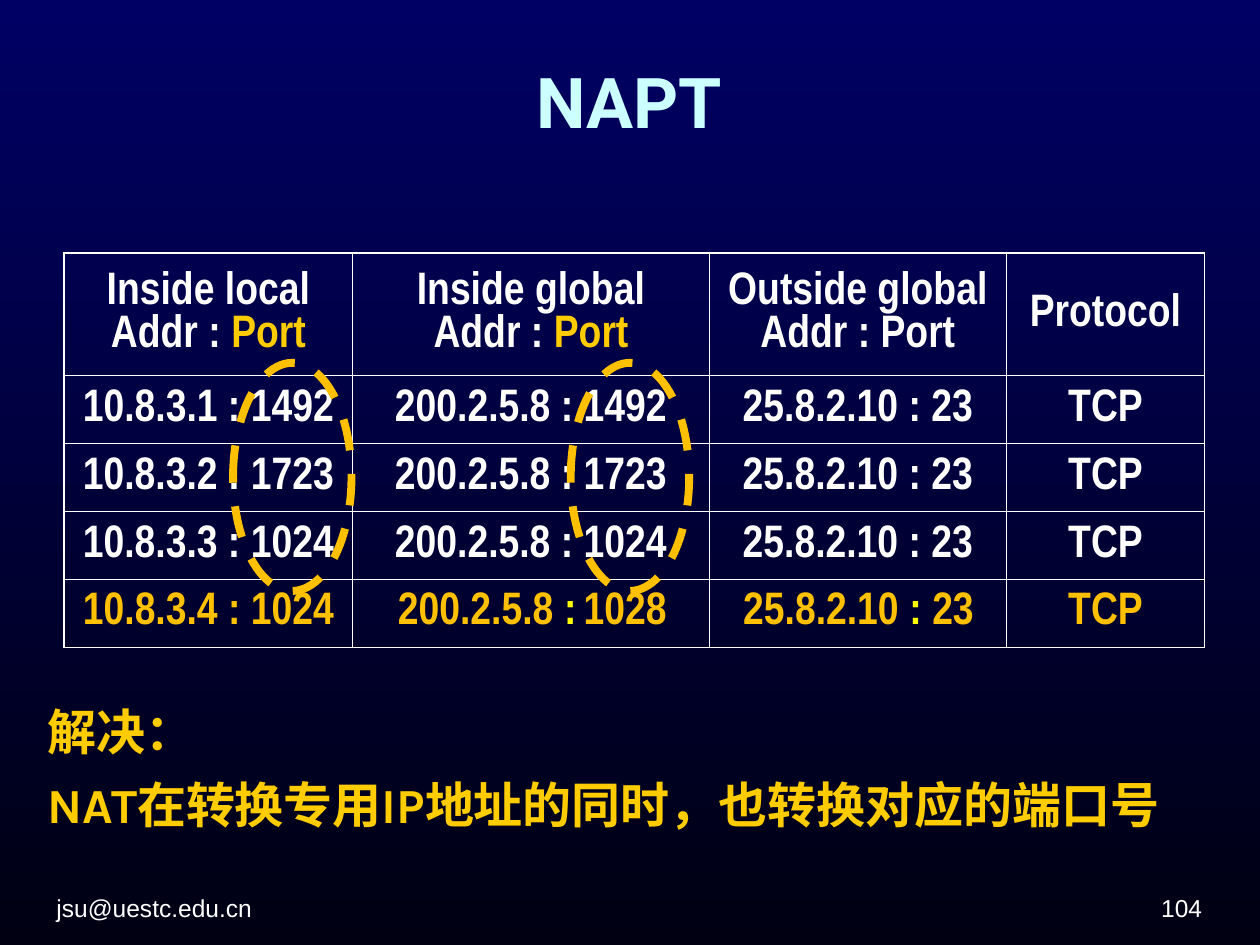
import pptx
import pptx.dml.color
import pptx.enum.dml
import pptx.enum.shapes
import pptx.enum.text
import pptx.oxml
import pptx.oxml.ns
import pptx.util
from pptx.util import Inches

RGBColor = pptx.dml.color.RGBColor
ALIGN = pptx.enum.text.PP_ALIGN
ANCHOR = pptx.enum.text.MSO_ANCHOR

NAVY = RGBColor(0x00, 0x00, 0x64)
MIDNIGHT = RGBColor(0x00, 0x00, 0x13)
WHITE = RGBColor(0xFF, 0xFF, 0xFF)
PALE_CYAN = RGBColor(0xCC, 0xFF, 0xFF)
GOLD = RGBColor(0xFF, 0xCC, 0x00)
AMBER = RGBColor(0xFF, 0xC0, 0x00)
YELLOW = RGBColor(0xFF, 0xFF, 0x00)

COLUMN_WIDTHS = (2.29, 2.83, 2.36, 1.57)
HEADER_HEIGHT = 0.97
ROW_HEIGHT = 0.54
HEADERS = (
    ["Inside local", [("Addr : ", WHITE), ("Port", GOLD)]],
    ["Inside global", [("Addr : ", WHITE), ("Port", GOLD)]],
    ["Outside global", "Addr : Port"],
    ["Protocol"],
)
MAPPINGS = (("10.8.3.1", "1492"), ("10.8.3.2", "1723"), ("10.8.3.3", "1024"))


def write_text(frame, paragraphs, size=26, font="Arial Narrow", color=WHITE, bold=True,
               align=ALIGN.LEFT, spacing=None):
    """Fill a text frame; a paragraph is a string or a list of (text, colour) runs."""
    for index, content in enumerate(paragraphs):
        paragraph = frame.paragraphs[0] if index == 0 else frame.add_paragraph()
        paragraph.alignment = align
        paragraph.line_spacing = spacing
        runs = [(content, color)] if isinstance(content, str) else content
        for text, run_color in runs:
            run = paragraph.add_run()
            run.text = text
            run.font.size = pptx.util.Pt(size)
            run.font.name = font
            run.font.bold = bold
            run.font.color.rgb = run_color


def add_label(slide, box, paragraphs, anchor=ANCHOR.TOP, **text_format):
    """Place a text box in the given box."""
    frame = slide.shapes.add_textbox(*map(Inches, box)).text_frame
    frame.word_wrap = True
    frame.vertical_anchor = anchor
    write_text(frame, paragraphs, **text_format)


def paint_background(slide):
    """Shade the slide from navy at the top to midnight at the bottom."""
    fill = slide.background.fill
    fill.gradient()
    fill.gradient_angle = 270
    for stop, position, color in zip(fill.gradient_stops, (0, 1), (NAVY, MIDNIGHT)):
        stop.position = position
        stop.color.rgb = color


def add_title(slide, box):
    """Move and write the title placeholder."""
    title = slide.shapes.title
    title.left, title.top, title.width, title.height = map(Inches, box)
    title.text_frame.vertical_anchor = ANCHOR.MIDDLE
    write_text(title.text_frame, ["NAPT"], size=40, font="Roboto",
               color=PALE_CYAN, align=ALIGN.CENTER)


def border_cell(cell, widths):
    """Draw the left, right, top and bottom borders of a cell in white."""
    properties = cell._tc.get_or_add_tcPr()
    for index, (side, width) in enumerate(zip("LRTB", widths)):
        properties.insert(index, pptx.oxml.parse_xml(
            f'<a:ln{side} {pptx.oxml.ns.nsdecls("a")} w="{pptx.util.Pt(width)}">'
            f'<a:solidFill><a:srgbClr val="{WHITE}"/></a:solidFill></a:ln{side}>'))


def add_translation_table(slide, box):
    """Build the address table, leaving its last row free for the new mapping."""
    rows = [HEADERS]
    for address, port in MAPPINGS:
        rows.append(([f"{address} : {port}"], [f"200.2.5.8 : {port}"],
                     ["25.8.2.10 : 23"], ["TCP"]))
    rows.append(([],) * len(COLUMN_WIDTHS))
    table = slide.shapes.add_table(len(rows), len(COLUMN_WIDTHS), *map(Inches, box)).table
    table.first_row = table.horz_banding = False
    for column, width in zip(table.columns, COLUMN_WIDTHS):
        column.width = Inches(width)
    last_column = len(COLUMN_WIDTHS) - 1
    for row_index, row in enumerate(rows):
        table.rows[row_index].height = Inches(ROW_HEIGHT if row_index else HEADER_HEIGHT)
        for column_index, paragraphs in enumerate(row):
            cell = table.cell(row_index, column_index)
            cell.fill.background()
            cell.vertical_anchor = ANCHOR.MIDDLE
            write_text(cell.text_frame, paragraphs, align=ALIGN.CENTER)
            is_header = row_index == 0
            heavy = (column_index == 0 or is_header and column_index == last_column,
                     column_index == last_column or is_header and column_index == 2,
                     is_header, False)
            border_cell(cell, [1.08 if side else 0.45 for side in heavy])


def add_new_mapping(slide, top):
    """Write the highlighted mapping over the free table row."""
    entries = (
        (0.56, 2.5, [("10.8.3.4 : 1024", AMBER)], ALIGN.LEFT),
        (3.06, 1.9, [("200.2.5.8", AMBER), (" :", YELLOW)], ALIGN.LEFT),
        (4.29, 1.1, [("1028", AMBER)], ALIGN.RIGHT),
        (5.8, 2.3, [("25.8.2.10", AMBER), (" : ", YELLOW), ("23", AMBER)], ALIGN.LEFT),
        (8.38, 1.1, [("TCP", AMBER)], ALIGN.LEFT),
    )
    for left, width, runs, align in entries:
        add_label(slide, (left, top, width, ROW_HEIGHT), [runs], align=align)


def add_port_ring(slide, box):
    """Circle a column of ports with a dashed ellipse."""
    ring = slide.shapes.add_shape(pptx.enum.shapes.MSO_SHAPE.OVAL, *map(Inches, box))
    ring.shadow.inherit = False
    ring.fill.background()
    ring.line.color.rgb = AMBER
    ring.line.width = pptx.util.Pt(4.5)
    ring.line.dash_style = pptx.enum.dml.MSO_LINE.DASH


def add_solution(slide, box):
    """State how the port conflict is solved."""
    add_label(slide, box, ["解决：", "NAT在转换专用IP地址的同时，也转换对应的端口号"],
              size=28, font="Karla", color=GOLD, spacing=1.25)


def add_footer(slide, box):
    """Write the contact at the left of the box and the page number at its right."""
    left, top, width, height = box
    part_width = 2.33
    parts = (("jsu@uestc.edu.cn", left, ALIGN.LEFT),
             ("104", left + width - part_width, ALIGN.RIGHT))
    for text, part_left, align in parts:
        add_label(slide, (part_left, top, part_width, height), [text], anchor=ANCHOR.BOTTOM,
                  size=14, font="Arial", bold=False, align=align)


def main():
    """Build the slide and save it."""
    deck = pptx.Presentation()
    deck.slide_width, deck.slide_height = Inches(10), Inches(7.5)
    slide = deck.slides.add_slide(deck.slide_layouts[5])
    paint_background(slide)
    add_title(slide, (0.35, 0.13, 9.29, 1.34))
    add_translation_table(slide, (0.51, 2.01, 9.05, 3.13))
    for ring_left in (1.85, 4.53):
        add_port_ring(slide, (ring_left, 2.88, 0.94, 1.81))
    add_new_mapping(slide, 4.55)
    add_solution(slide, (0.28, 5.4, 9.6, 1.27))
    add_footer(slide, (0.35, 6.9, 9.29, 0.47))
    deck.save("out.pptx")


if __name__ == "__main__":
    main()
